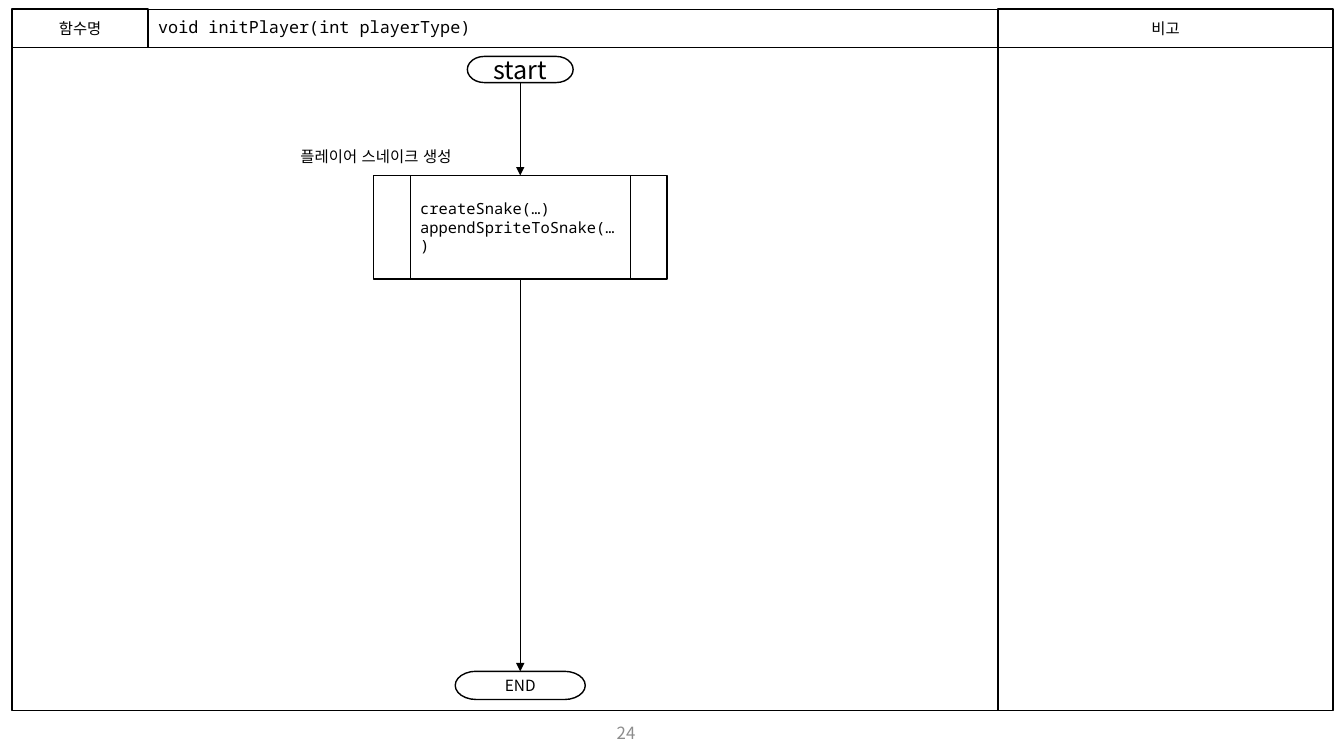
"""Build the flowchart page for the initPlayer function."""
from lxml.etree import SubElement
from pptx import Presentation
from pptx.dml.color import RGBColor
from pptx.enum.shapes import MSO_CONNECTOR as Link, MSO_SHAPE as Shape
from pptx.enum.text import MSO_ANCHOR as Anchor, PP_ALIGN as Align
from pptx.oxml.ns import qn
from pptx.util import Inches, Pt

COLORS = {"ink": "000000", "paper": "FFFFFF", "muted": "8C8C8C"}
SANS, MONO, LABEL = "Noto Sans CJK KR", "Noto Sans Mono", "Arial"

deck = Presentation()
deck.slide_width, deck.slide_height = Inches(13.33), Inches(7.5)
page = deck.slides.add_slide(deck.slide_layouts[6])

LEFT, NAME_X, NOTE_X, RIGHT = 0.12, 1.47, 9.9, 13.22
TOP, BODY_Y, BOTTOM = 0.09, 0.47, 7.05
AXIS = 5.16


def write(box, text, font, size, align=Align.CENTER, color="ink", anchor=Anchor.MIDDLE):
    frame = box.text_frame
    frame.word_wrap = True
    frame.vertical_anchor = anchor
    frame.text = text
    for para in frame.paragraphs:
        para.alignment = align
        for span in para.runs:
            span.font.size = Pt(size)
            span.font.color.rgb = RGBColor.from_string(COLORS[color])
            span.font.name = font
            SubElement(span.font._element, qn("a:ea"), typeface=font)


def draw(kind, left, top, width, height, filled=False, weight=1):
    box = page.shapes.add_shape(kind, Inches(left), Inches(top), Inches(width), Inches(height))
    box.shadow.inherit = False
    if filled:
        box.fill.solid()
        box.fill.fore_color.rgb = RGBColor.from_string(COLORS["paper"])
    else:
        box.fill.background()
    box.line.color.rgb = RGBColor.from_string(COLORS["ink"])
    box.line.width = Pt(weight)
    return box


headers = [
    (NAME_X, NOTE_X, "void initPlayer(int playerType)", MONO, 12, Align.LEFT, 0.75),
    (LEFT, NAME_X, "함수명", SANS, 11, Align.CENTER, 1),
    (NOTE_X, RIGHT, "비고", SANS, 11, Align.CENTER, 1),
]
for left, right, text, font, size, align, weight in headers:
    header = draw(Shape.RECTANGLE, left, TOP, right - left, BODY_Y - TOP, weight=weight)
    write(header, text, font, size, align)
header_title = page.shapes[0].text_frame.paragraphs[0]
header_title.line_spacing = 0.9

for left, right in [(LEFT, NOTE_X), (NOTE_X, RIGHT)]:
    draw(Shape.RECTANGLE, left, BODY_Y, right - left, BOTTOM - BODY_Y)

steps = [
    (Shape.FLOWCHART_TERMINATOR, 0.56, 1.05, 0.26, "start", SANS, 18, Align.CENTER),
    (Shape.FLOWCHART_PREDEFINED_PROCESS, 1.74, 2.91, 1.03,
     "createSnake(…)\nappendSpriteToSnake(…)", MONO, 11, Align.LEFT),
    (Shape.FLOWCHART_TERMINATOR, 6.66, 1.29, 0.28, "END", SANS, 11, Align.CENTER),
]
nodes = []
for kind, top, width, height, text, font, size, align in steps:
    node = draw(kind, AXIS - width / 2, top, width, height, filled=True)
    write(node, text, font, size, align)
    nodes.append(node)

for source, target in zip(nodes, nodes[1:]):
    arrow = page.shapes.add_connector(Link.STRAIGHT, 0, 0, 0, 0)
    arrow.begin_connect(source, 2)
    arrow.end_connect(target, 0)
    arrow.line.color.rgb = RGBColor.from_string(COLORS["ink"])
    arrow.line.width = Pt(1)
    SubElement(arrow.line._get_or_add_ln(), qn("a:tailEnd"), type="triangle")
    SubElement(arrow._element.spPr, qn("a:effectLst"))

captions = [
    (2.88, 1.41, 2.11, 0.29, "플레이어 스네이크 생성", LABEL, 11, Align.LEFT, "ink", Anchor.TOP),
    (4.71, 7.13, 3, 0.28, "24", SANS, 12, Align.CENTER, "muted", Anchor.MIDDLE),
]
for left, top, width, height, *style in captions:
    caption = page.shapes.add_textbox(Inches(left), Inches(top), Inches(width), Inches(height))
    write(caption, *style)

deck.save("out.pptx")
